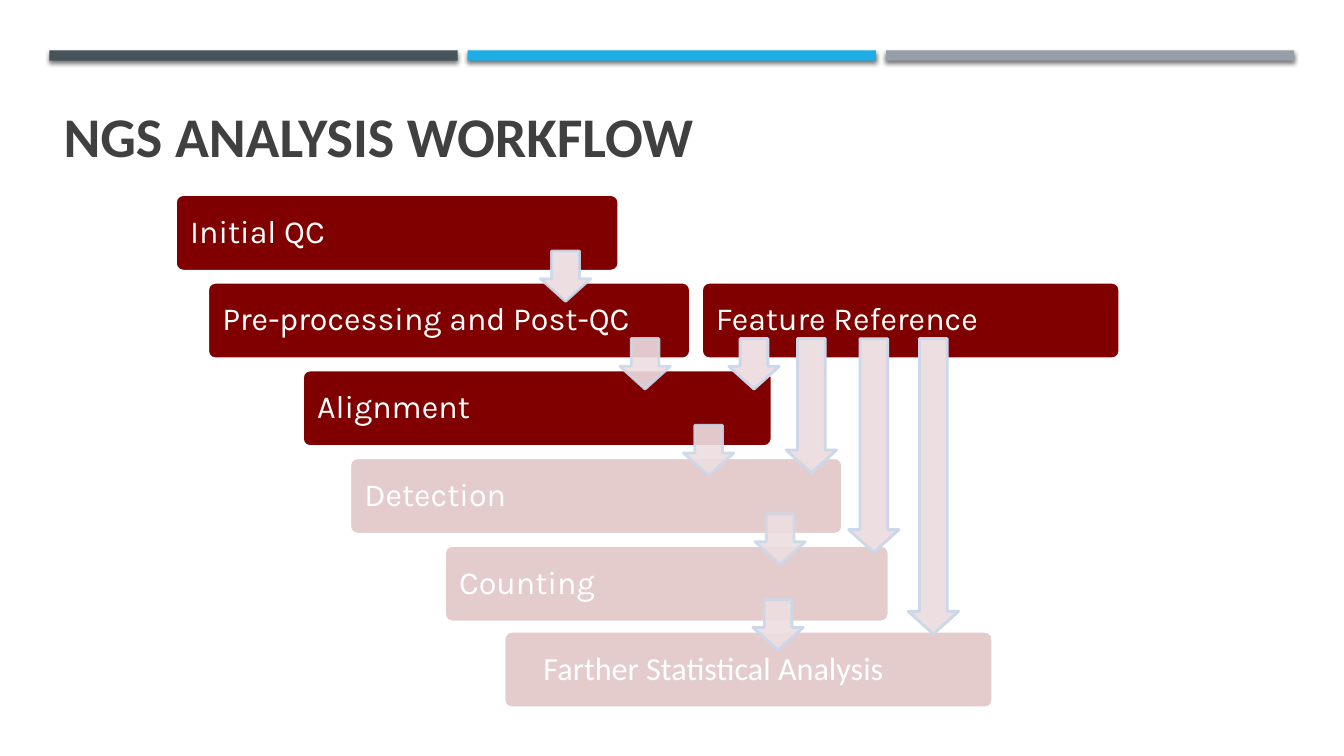
from dataclasses import dataclass

from lxml import etree
from pptx import Presentation
from pptx.dml.color import RGBColor
from pptx.enum.shapes import MSO_SHAPE
from pptx.enum.text import MSO_ANCHOR, PP_ALIGN
from pptx.oxml.ns import qn
from pptx.util import Pt

RECTANGLE = MSO_SHAPE.RECTANGLE
ROUNDED = MSO_SHAPE.ROUNDED_RECTANGLE
DOWN_ARROW = MSO_SHAPE.DOWN_ARROW
MIDDLE = MSO_ANCHOR.MIDDLE
LEFT = PP_ALIGN.LEFT


@dataclass(frozen=True)
class Theme:
    bars: tuple = ("465359", "1CADE4", "969FA7")
    step: str = "800000"
    white: str = "FFFFFF"
    arrow: str = "EDDEE1"
    arrow_line: str = "CCD8EA"
    title: str = "404040"
    title_font: str = "Calibri"
    step_font: str = "Karla"
    title_size: float = 40
    step_size: float = 23
    line_width: float = 2


def set_attributes(target, values):
    for name, value in values.items():
        setattr(target, name, value)


def set_opacity(fill_parent, percent):
    """Add an alpha value to the solid fill directly below the element."""
    if percent < 100:
        color = fill_parent.find(qn("a:solidFill"))[0]
        etree.SubElement(color, qn("a:alpha"), val=str(percent * 1000))


class SlideBuilder:
    def __init__(self, slide, theme):
        self.slide = slide
        self.theme = theme

    def shape(self, kind, box, color, opacity=100, line=None, line_opacity=100):
        shape = self.slide.shapes.add_shape(kind, *map(Pt, box))
        shape.shadow.inherit = False
        shape.fill.solid()
        shape.fill.fore_color.rgb = RGBColor.from_string(color)
        set_opacity(shape._element.spPr, opacity)
        if line is None:
            shape.line.fill.background()
        else:
            shape.line.color.rgb = RGBColor.from_string(line)
            shape.line.width = Pt(self.theme.line_width)
            set_opacity(shape.line._ln, line_opacity)
        return shape

    def label(self, shape, text, color, font, frame, paragraph_format):
        set_attributes(shape.text_frame,
                       {"word_wrap": True, "vertical_anchor": MIDDLE, **frame})
        paragraph = shape.text_frame.paragraphs[0]
        paragraph.text = text
        set_attributes(paragraph, {"alignment": LEFT, **paragraph_format})
        set_attributes(paragraph.font, font)
        paragraph.font.color.rgb = RGBColor.from_string(color)

    def bar(self, box, color):
        bar = self.shape(RECTANGLE, box, color)
        effects = bar._element.spPr.find(qn("a:effectLst"))
        shadow = etree.SubElement(effects, qn("a:outerShdw"), blurRad=str(Pt(3)),
                                  dist=str(Pt(2)), dir="5400000", rotWithShape="0")
        black = etree.SubElement(shadow, qn("a:srgbClr"), val="000000")
        etree.SubElement(black, qn("a:alpha"), val="55000")

    def title(self, text, box):
        theme = self.theme
        margins = dict.fromkeys(
            ("margin_left", "margin_right", "margin_top", "margin_bottom"), 0)
        self.label(self.slide.shapes.add_textbox(*map(Pt, box)), text, theme.title,
                   {"name": theme.title_font, "size": Pt(theme.title_size), "bold": True},
                   margins, {})

    def step(self, text, box, opacity, indent, font_name):
        theme = self.theme
        step = self.shape(ROUNDED, box, theme.step, opacity, theme.white)
        step.adjustments[0] = 0.1
        self.label(step, text, theme.white,
                   {"name": font_name, "size": Pt(theme.step_size)},
                   {"margin_left": Pt(indent), "margin_right": Pt(7.2),
                    "margin_top": Pt(8.6), "margin_bottom": Pt(8.6)},
                   {"line_spacing": 0.9, "space_after": Pt(8.1)})

    def arrow(self, box, opacity=100, line_opacity=100):
        theme = self.theme
        arrow = self.shape(DOWN_ARROW, box, theme.arrow, opacity,
                           theme.arrow_line, line_opacity)
        arrow.adjustments[0] = 0.55
        arrow.adjustments[1] = 0.45


def main():
    presentation = Presentation()
    presentation.slide_width = Pt(960)
    presentation.slide_height = Pt(540)
    theme = Theme()
    slide = presentation.slides.add_slide(presentation.slide_layouts[6])
    builder = SlideBuilder(slide, theme)

    for column, color in enumerate(theme.bars):
        builder.bar((35.3 + 298.8 * column, 36, 291.6, 7.4), color)
    builder.title("NGS ANALYSIS WORKFLOW", (45.4, 57.6, 868.3, 77.8))

    first_top, row_pitch, step_height = 139, 62.64, 54.7
    karla, calibri = theme.step_font, theme.title_font
    # text, row, left, width, opacity, indent, font
    steps = (
        ("Initial QC", 0, 125.3, 316.8, 100, 8.9, karla),
        ("Pre-processing and Post-QC", 1, 148.3, 344.9, 100, 8.9, karla),
        ("Alignment", 2, 216, 335.5, 100, 8.9, karla),
        ("Detection", 3, 249.8, 352.1, 20, 8.9, karla),
        ("Counting", 4, 317.5, 317.5, 20, 8.9, karla),
        ("Farther Statistical Analysis", 4.98, 360, 349.2, 20, 26.6, calibri),
        ("Feature Reference", 1, 501.1, 298.8, 100, 8.6, karla),
    )
    for text, row, left, width, opacity, indent, font_name in steps:
        top = first_top + row * row_pitch
        builder.step(text, (left, top, width, step_height), opacity, indent, font_name)

    arrow_size = 36
    # left, top, opacity, line opacity
    flow_arrows = (
        (386, 179.3, 100, 90),
        (442.8, 241.9, 90, 90),
        (488.2, 303.8, 90, 90),
        (539.3, 367.2, 90, 90),
        (537.8, 428.4, 90, 100),
    )
    for left, top, opacity, line_opacity in flow_arrows:
        builder.arrow((left, top, arrow_size, arrow_size), opacity, line_opacity)

    reference_arrows = ((520.6, 36), (561.6, 95.8), (606.2, 152.6), (648.7, 211))
    for left, height in reference_arrows:
        builder.arrow((left, 241.9, arrow_size, height))

    presentation.save("out.pptx")


if __name__ == "__main__":
    main()
